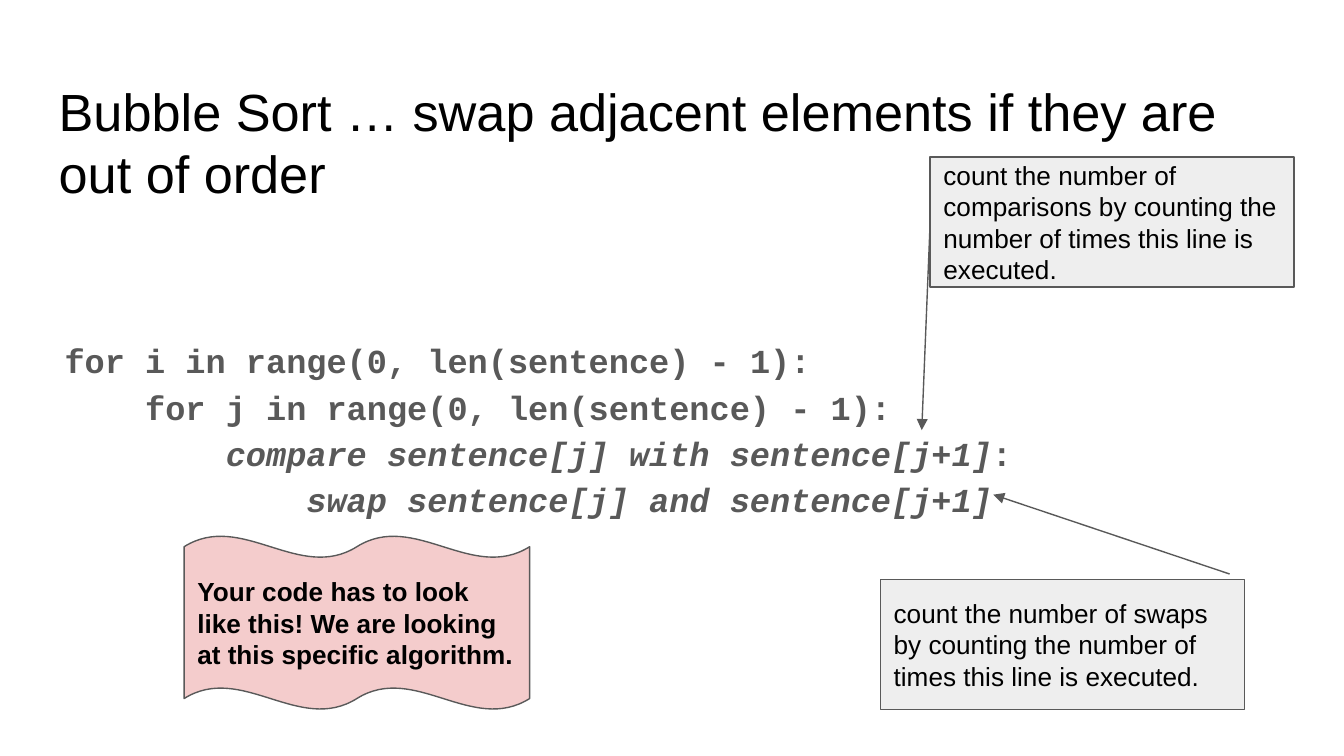
from lxml.etree import SubElement
from pptx import Presentation
from pptx.dml.color import RGBColor
from pptx.enum.shapes import MSO_CONNECTOR as Connector, MSO_SHAPE as Preset
from pptx.enum.text import MSO_ANCHOR as Anchor, MSO_AUTO_SIZE as AutoSize, PP_ALIGN as Align
from pptx.oxml.ns import qn
from pptx.util import Cm, Pt

BLACK = RGBColor(0x00, 0x00, 0x00)
GREY = RGBColor(0x59, 0x59, 0x59)
PALE_GREY = RGBColor(0xEE, 0xEE, 0xEE)
PINK = RGBColor(0xF4, 0xCC, 0xCC)

TITLE_FONT = {"name": "Arial", "size": Pt(28), "bold": False}
NOTE_FONT = {"name": "Arial", "size": Pt(14), "bold": False}
BOLD_NOTE_FONT = {**NOTE_FONT, "bold": True}
CODE_FONT = {"name": "Courier New", "size": Pt(18), "bold": True}
LINE_WIDTH = Pt(0.75)
INSET = Cm(0.25)
CODE_INDENT = Pt(43.2)  # four characters of the code font

# Each line holds its spans as (text, italic); its position sets its indent.
CODE_LINES = [
    [("for i in range(0, len(sentence) - 1):", False)],
    [("for j in range(0, len(sentence) - 1):", False)],
    [("compare sentence[j] with sentence[j+1]", True), (":", False)],
    [("swap sentence[j] and sentence[j+1]", True)],
]


def format_frame(frame, anchor):
    """Set wrapping, insets and anchor of a text frame."""
    values = {"word_wrap": True, "auto_size": AutoSize.NONE, "vertical_anchor": anchor}
    values.update({f"margin_{side}": INSET for side in ("left", "top", "right", "bottom")})
    for name, value in values.items():
        setattr(frame, name, value)


def add_span(para, text, font, color, italic=False):
    """Add a formatted run to a left-aligned paragraph."""
    para.alignment = Align.LEFT
    span = para.add_run()
    span.text = text
    for name, value in {**font, "italic": italic}.items():
        setattr(span.font, name, value)
    span.font.color.rgb = color


def set_title(page, text, left, top, width, height):
    """Move the title placeholder and fill it in."""
    title = page.shapes.title
    box = {"left": left, "top": top, "width": width, "height": height}
    for name, value in box.items():
        setattr(title, name, Cm(value))
    format_frame(title.text_frame, Anchor.TOP)
    para = title.text_frame.paragraphs[0]
    para.line_spacing = 1.0
    add_span(para, text, TITLE_FONT, BLACK)


def add_code(page, lines, left, top, width, height):
    """Add the code, each line one level deeper than the last."""
    box = page.shapes.add_textbox(Cm(left), Cm(top), Cm(width), Cm(height))
    frame = box.text_frame
    format_frame(frame, Anchor.TOP)
    for level, spans in enumerate(lines):
        para = frame.add_paragraph() if level else frame.paragraphs[0]
        para.line_spacing = 1.15
        para._p.get_or_add_pPr().set("marL", str(int(level * CODE_INDENT)))
        for text, italic in spans:
            add_span(para, text, CODE_FONT, GREY, italic)


def add_note(page, text, left, top, width, height,
             preset=Preset.RECTANGLE, fill=PALE_GREY, font=NOTE_FONT):
    """Add an outlined shape that holds a remark."""
    note = page.shapes.add_shape(preset, Cm(left), Cm(top), Cm(width), Cm(height))
    note.shadow.inherit = False
    note.fill.solid()
    note.fill.fore_color.rgb = fill
    note.line.color.rgb = GREY
    note.line.width = LINE_WIDTH
    format_frame(note.text_frame, Anchor.MIDDLE)
    add_span(note.text_frame.paragraphs[0], text, font, BLACK)


def add_arrow(page, start, end):
    """Add a straight arrow between two points."""
    points = [Cm(value) for value in (*start, *end)]
    arrow = page.shapes.add_connector(Connector.STRAIGHT, *points)
    arrow.line.color.rgb = GREY
    arrow.line.width = LINE_WIDTH
    properties = arrow.element.spPr
    SubElement(properties.find(qn("a:ln")), qn("a:tailEnd"), type="triangle")
    SubElement(properties, qn("a:effectLst"))


def main():
    """Build the slide and save the deck."""
    deck = Presentation()
    deck.slide_width, deck.slide_height = Cm(25.4), Cm(14.29)
    page = deck.slides.add_slide(deck.slide_layouts[5])
    set_title(page, "Bubble Sort … swap adjacent elements if they are out of order",
              0.86, 1.24, 23.67, 1.6)
    add_code(page, CODE_LINES, 0.97, 6.07, 23.5, 4.5)
    add_note(page, "count the number of comparisons by counting the number of times "
             "this line is executed.", 17.58, 2.97, 6.88, 2.46)
    add_note(page, "count the number of swaps by counting the number of times "
             "this line is executed.", 16.64, 10.95, 6.88, 2.46)
    add_arrow(page, (17.58, 4.19), (17.42, 8.13))
    add_arrow(page, (23.24, 10.85), (18.77, 9.35))
    add_note(page, "Your code has to look like this! We are looking at this "
             "specific algorithm.", 3.48, 10.13, 6.53, 3.28,
             Preset.DOUBLE_WAVE, PINK, BOLD_NOTE_FONT)
    deck.save("out.pptx")


main()
